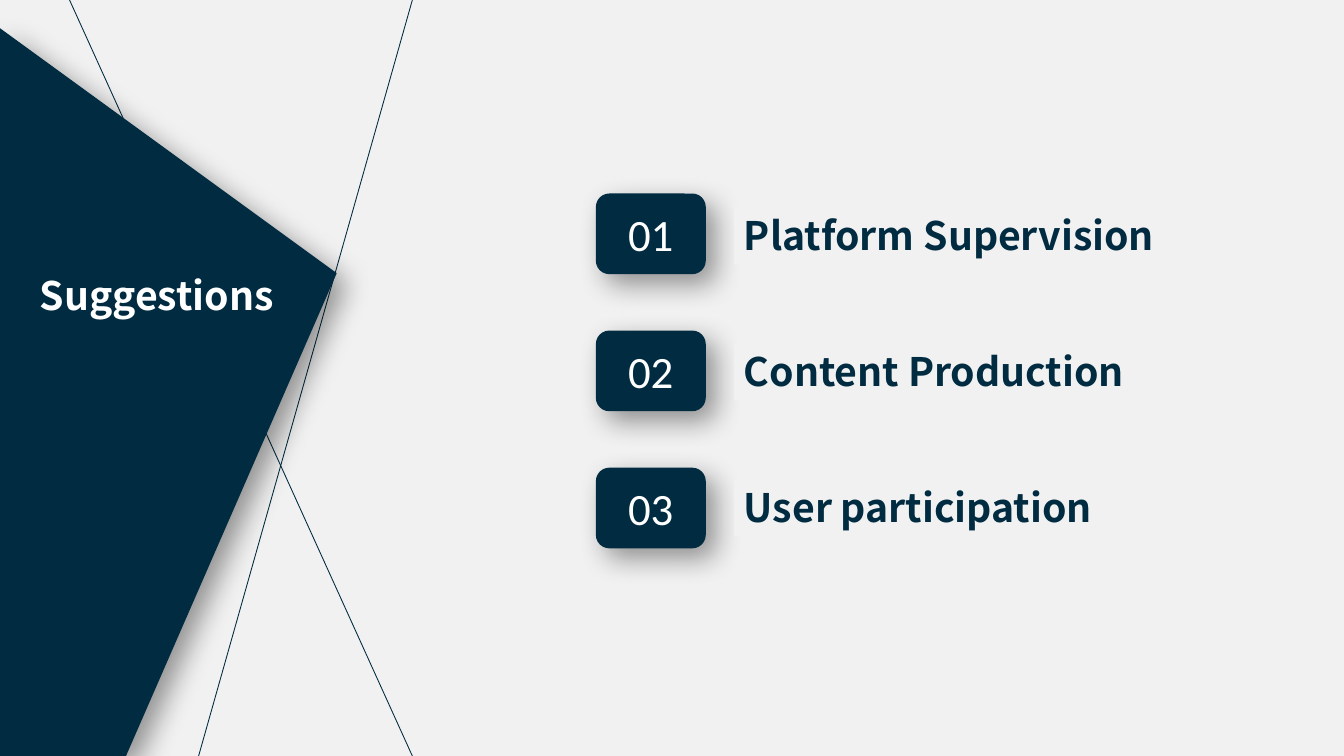
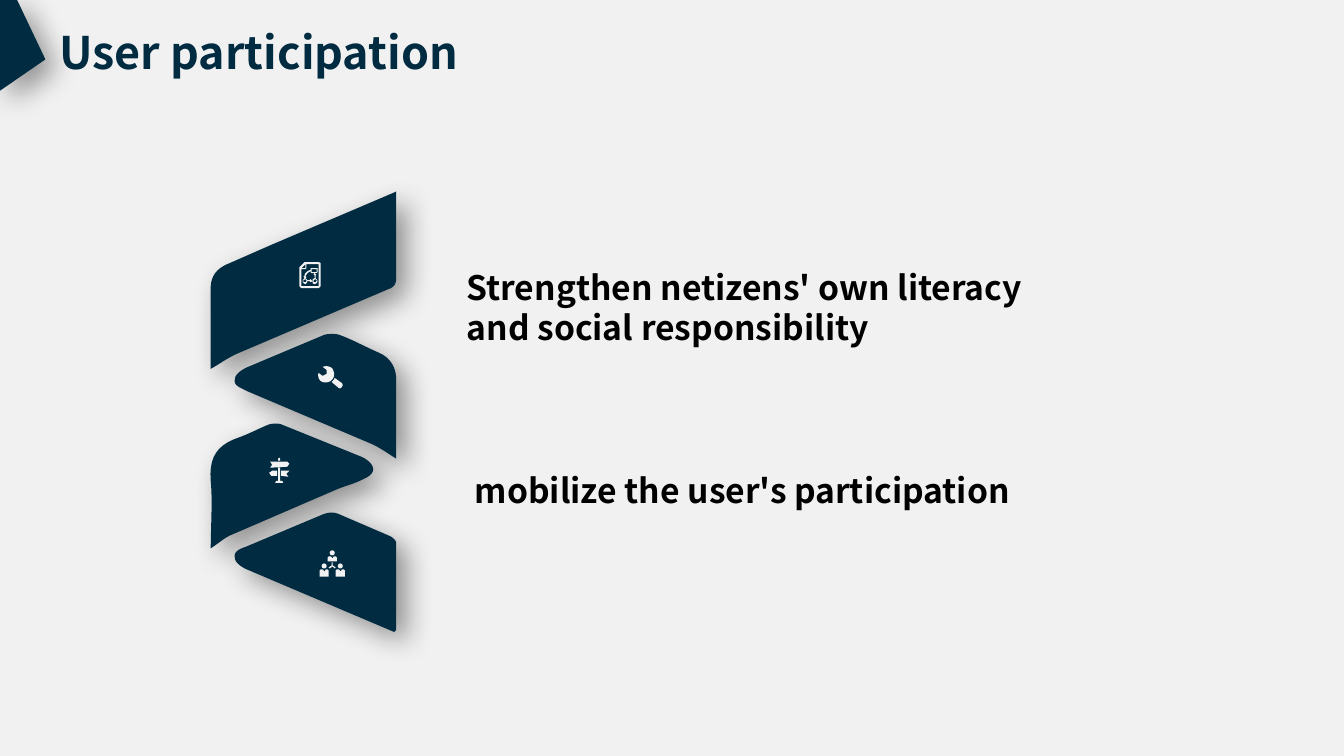
import pptx
import pptx.dml.color
import pptx.enum.shapes
import pptx.enum.text
import pptx.util
from lxml import etree
from pptx.oxml.ns import qn

Inches = pptx.util.Inches
Align = pptx.enum.text.PP_ALIGN
Anchor = pptx.enum.text.MSO_ANCHOR
Shape = pptx.enum.shapes.MSO_SHAPE

NAVY, PAPER, ICON = "002B41", "F1F1F1", "F2F2F2"
WHITE, BLACK = "FFFFFF", "000000"
HEAD, DIGIT = "Noto Sans CJK SC", "Calibri"

# An outline is a list of contours. A contour is a start point followed by
# steps: two numbers make a line, six numbers make a cubic curve.
PANEL = [[(0, 0.28), (3.34, 2.71), (1.25, 7.5), (0, 7.5)]]
CORNER = [[(0, 0), (0.17, 0), (0.45, 0.59), (0, 0.9)]]

BANDS = [
    [[(3.93, 1.9), (3.93, 2.75), (3.93, 2.82, 3.91, 2.85, 3.85, 2.87),
      (2.35, 3.51), (2.26, 3.55, 2.18, 3.61, 2.09, 3.66), (2.09, 2.89),
      (2.08, 2.74, 2.15, 2.66, 2.28, 2.61), (2.69, 2.43), (3.84, 1.94),
      (3.86, 1.93, 3.89, 1.92, 3.93, 1.9)]],
    [[(3.93, 4.55), (3.85, 4.5, 3.78, 4.45, 3.7, 4.41), (2.45, 3.88),
      (2.4, 3.85, 2.31, 3.83, 2.33, 3.76),
      (2.33, 3.71, 2.41, 3.66, 2.46, 3.64), (3.22, 3.32),
      (3.27, 3.31, 3.32, 3.31, 3.36, 3.32),
      (3.5, 3.37, 3.62, 3.44, 3.76, 3.5),
      (3.87, 3.55, 3.93, 3.64, 3.93, 3.77)]],
    [[(2.09, 5.44), (2.09, 5.22, 2.11, 4.99, 2.09, 4.77),
      (2.07, 4.53, 2.16, 4.41, 2.37, 4.34),
      (2.48, 4.3, 2.57, 4.25, 2.67, 4.21),
      (2.71, 4.2, 2.76, 4.2, 2.79, 4.21), (3.58, 4.53), (3.62, 4.55),
      (3.73, 4.62, 3.73, 4.7, 3.61, 4.75),
      (3.52, 4.8, 3.42, 4.82, 3.33, 4.86), (2.31, 5.3),
      (2.23, 5.33, 2.17, 5.39, 2.09, 5.44)]],
    [[(3.91, 6.27), (2.45, 5.65), (2.4, 5.63, 2.33, 5.58, 2.33, 5.54),
      (2.31, 5.46, 2.4, 5.44, 2.45, 5.42), (3.21, 5.1),
      (3.27, 5.08, 3.31, 5.08, 3.36, 5.1), (3.87, 5.32),
      (3.89, 5.33, 3.93, 5.36, 3.93, 5.39), (3.93, 6.25)]],
]

SHEET = [
    [(2.97, 2.65), (3.02, 2.6), (3.16, 2.6), (3.18, 2.61), (3.18, 2.84),
     (3.16, 2.86), (2.99, 2.86), (2.97, 2.84)],
    [(3.03, 2.67), (2.99, 2.67), (2.99, 2.84), (3.16, 2.84), (3.16, 2.62),
     (3.04, 2.62), (3.04, 2.66)],
    [(2.99, 2.66), (3.03, 2.66), (3.03, 2.62)],
]
FLOW = [
    [(3.07, 2.79), (3.05, 2.79), (3.04, 2.81), (3.03, 2.82), (3.01, 2.81),
     (3, 2.79), (3.01, 2.77), (3.02, 2.76), (3.01, 2.74), (3.02, 2.74),
     (3.02, 2.72, 3.03, 2.71, 3.04, 2.7),
     (3.05, 2.69, 3.07, 2.68, 3.08, 2.68), (3.08, 2.66), (3.15, 2.66),
     (3.15, 2.7), (3.14, 2.71), (3.12, 2.71), (3.14, 2.73), (3.13, 2.73),
     (3.13, 2.76), (3.14, 2.77), (3.15, 2.79), (3.14, 2.81), (3.12, 2.82),
     (3.1, 2.81), (3.1, 2.79), (3.08, 2.8)],
    [(3.08, 2.69), (3.05, 2.71), (3.03, 2.74), (3.04, 2.75), (3.03, 2.76),
     (3.04, 2.77), (3.05, 2.78), (3.07, 2.78), (3.08, 2.77), (3.1, 2.79),
     (3.1, 2.77), (3.12, 2.76), (3.12, 2.73), (3.11, 2.73), (3.12, 2.71),
     (3.09, 2.71), (3.08, 2.7)],
    [(3.14, 2.67), (3.09, 2.67), (3.09, 2.7), (3.14, 2.7)],
] + [[(x + 0.01, 2.78), (x, 2.77), (x - 0.02, 2.78), (x - 0.02, 2.79),
      (x - 0.02, 2.8), (x, 2.8), (x + 0.01, 2.79)] for x in (3.03, 3.13)]
WRENCH = [
    [(3.39, 3.8), (3.32, 3.75), (3.31, 3.77), (3.29, 3.79), (3.36, 3.85),
     (3.36, 3.85, 3.38, 3.86, 3.39, 3.84),
     (3.41, 3.82, 3.39, 3.8, 3.39, 3.8)],
    [(3.3, 3.76), (3.31, 3.74), (3.32, 3.71, 3.31, 3.67, 3.29, 3.65),
     (3.26, 3.63, 3.23, 3.63, 3.2, 3.64), (3.24, 3.67), (3.24, 3.71),
     (3.2, 3.73), (3.16, 3.7), (3.15, 3.73, 3.16, 3.76, 3.18, 3.78),
     (3.21, 3.8, 3.25, 3.8, 3.28, 3.78)],
]
SIGN = [
    [(2.86, 4.73), (2.79, 4.72), (2.79, 4.67), (2.87, 4.67), (2.84, 4.7)],
    [(2.76, 4.55), (2.77, 4.54), (2.78, 4.55), (2.78, 4.57), (2.76, 4.57)],
    [(2.78, 4.64), (2.78, 4.77), (2.8, 4.77), (2.81, 4.79), (2.73, 4.79),
     (2.74, 4.77), (2.76, 4.77), (2.76, 4.64)],
    [(2.75, 4.72), (2.69, 4.72), (2.67, 4.69), (2.7, 4.67), (2.75, 4.67)],
    [(2.68, 4.58), (2.85, 4.58), (2.87, 4.6), (2.85, 4.63), (2.68, 4.64),
     (2.7, 4.61)],
]
SPOKES = [[(3.29, 5.58), (3.3, 5.58), (3.3, 5.61), (3.33, 5.63),
           (3.32, 5.64), (3.3, 5.62), (3.27, 5.64), (3.26, 5.63),
           (3.29, 5.61)]]


def color(code):
    return pptx.dml.color.RGBColor.from_string(code)


def place(shape, box):
    shape.left, shape.top, shape.width, shape.height = map(Inches, box)


def paint(shape, fill, shade=False):
    """Fill a shape without outline, with the deck's soft shadow if asked."""
    shape.fill.solid()
    shape.fill.fore_color.rgb = color(fill)
    shape.line.fill.background()
    shape.shadow.inherit = False
    if shade:
        effect = shape.element.spPr.find(qn("a:effectLst"))
        drop = etree.SubElement(
            effect, qn("a:outerShdw"), blurRad=str(pptx.util.Pt(20)),
            dist=str(pptx.util.Pt(10)), dir=str(45 * 60000), algn="tl",
            rotWithShape="0")
        tint = etree.SubElement(drop, qn("a:srgbClr"), val=BLACK)
        etree.SubElement(tint, qn("a:alpha"), val="40000")


def write(shape, text, size, ink, font=HEAD, align=Align.LEFT, fit=True):
    frame = shape.text_frame
    frame.text = text
    frame.word_wrap = True
    frame.vertical_anchor = Anchor.TOP if fit else Anchor.MIDDLE
    if fit:
        frame.auto_size = pptx.enum.text.MSO_AUTO_SIZE.SHAPE_TO_FIT_TEXT
    for par in frame.paragraphs:
        par.alignment = align
        for run in par.runs:
            run.font.name = font
            run.font.size = pptx.util.Pt(size)
            run.font.bold = font == HEAD
            run.font.color.rgb = color(ink)


def label(slide, text, box, size, ink):
    shape = slide.shapes.add_textbox(*map(Inches, box))
    write(shape, text, size, ink)
    return shape


def title(slide, text, box, size, ink, align=Align.LEFT):
    """Format the title placeholder and bring it to the front."""
    shape = slide.shapes.title
    place(shape, box)
    write(shape, text, size, ink, align=align)
    shape.element.getparent().append(shape.element)


def trace(contour, steps=10):
    """Turn a contour into points, sampling its curves."""
    points = [contour[0]]
    for step in contour[1:]:
        if len(step) == 2:
            points.append(step)
            continue
        knots = [points[-1], step[:2], step[2:4], step[4:]]
        for i in range(1, steps + 1):
            t = i / steps
            u = 1 - t
            parts = (u ** 3, 3 * u * u * t, 3 * u * t * t, t ** 3)
            points.append(tuple(sum(w * k[axis] for w, k in zip(parts, knots))
                                for axis in (0, 1)))
    return [(Inches(x), Inches(y)) for x, y in points]


def outline(slide, contours, fill, shade=False):
    paths = [trace(contour) for contour in contours]
    pen = slide.shapes.build_freeform(*paths[0][0])
    for i, points in enumerate(paths):
        if i:
            pen.move_to(*points[0])
        pen.add_line_segments(points[1:], close=True)
    paint(pen.convert_to_shape(), fill, shade)


def ray(slide, *ends):
    line = slide.shapes.add_connector(
        pptx.enum.shapes.MSO_CONNECTOR.STRAIGHT, *map(Inches, ends))
    line.line.color.rgb = color(NAVY)
    line.line.width = pptx.util.Pt(0.63)
    etree.SubElement(line.element.spPr, qn("a:effectLst"))


def person(slide, x, y, base):
    head = slide.shapes.add_shape(
        Shape.OVAL, *map(Inches, (x + 0.02, y, 0.05, 0.05)))
    paint(head, ICON)
    body = [(0.05, 0.08), (0.06, 0.06), (0.08, 0.06), (0.09, 0.07),
            (0.09, base), (0, base), (0, 0.07), (0.01, 0.06), (0.03, 0.06)]
    outline(slide, [[(x + dx, y + dy) for dx, dy in body]], ICON)


def agenda(slide):
    ray(slide, 4.09, 0, 1.97, 7.5)
    ray(slide, 4.09, 7.5, 0.69, 0)
    outline(slide, PANEL, NAVY, shade=True)
    title(slide, "Suggestions", (0, 2.64, 3.11, 0.57), 28, WHITE,
          Align.CENTER)
    topics = ["Platform Supervision", "Content Production",
              "User participation"]
    for i, topic in enumerate(topics):
        badge = slide.shapes.add_shape(
            Shape.ROUNDED_RECTANGLE,
            *map(Inches, (5.91, 1.92 + 1.36 * i, 1.09, 0.8)))
        paint(badge, NAVY, shade=True)
        write(badge, f"{i + 1:02}", 32, WHITE, DIGIT, Align.CENTER, fit=False)
        strip = label(slide, topic, (7.28, 2.05 + 1.35 * i, 4.91, 0.57),
                      28, NAVY)
        strip.fill.solid()
        strip.fill.fore_color.rgb = color(PAPER)


def advice(slide):
    title(slide, "User participation", (0.49, 0.19, 4.5, 0.64), 32, NAVY)
    outline(slide, CORNER, NAVY, shade=True)
    for band in BANDS:
        outline(slide, band, NAVY, shade=True)
    for icon in (SHEET, FLOW, WRENCH, SIGN, SPOKES):
        outline(slide, icon, ICON)
    for x, y, base in ((3.25, 5.46, 0.11), (3.17, 5.59, 0.13),
                       (3.33, 5.59, 0.13)):
        person(slide, x, y, base)
    label(slide, "Strengthen netizens' own literacy and social responsibility",
          (4.53, 2.6, 6.29, 0.91), 24, BLACK)
    label(slide, "mobilize the user's participation",
          (4.61, 4.61, 6.76, 0.5), 24, BLACK)


def main():
    deck = pptx.Presentation()
    deck.slide_width, deck.slide_height = Inches(13.33), Inches(7.5)
    ground = deck.slide_master.background.fill
    ground.solid()
    ground.fore_color.rgb = color(PAPER)
    plain = deck.slide_layouts.get_by_name("Title Only")
    for build in (agenda, advice):
        build(deck.slides.add_slide(plain))
    deck.save("out.pptx")


if __name__ == "__main__":
    main()
